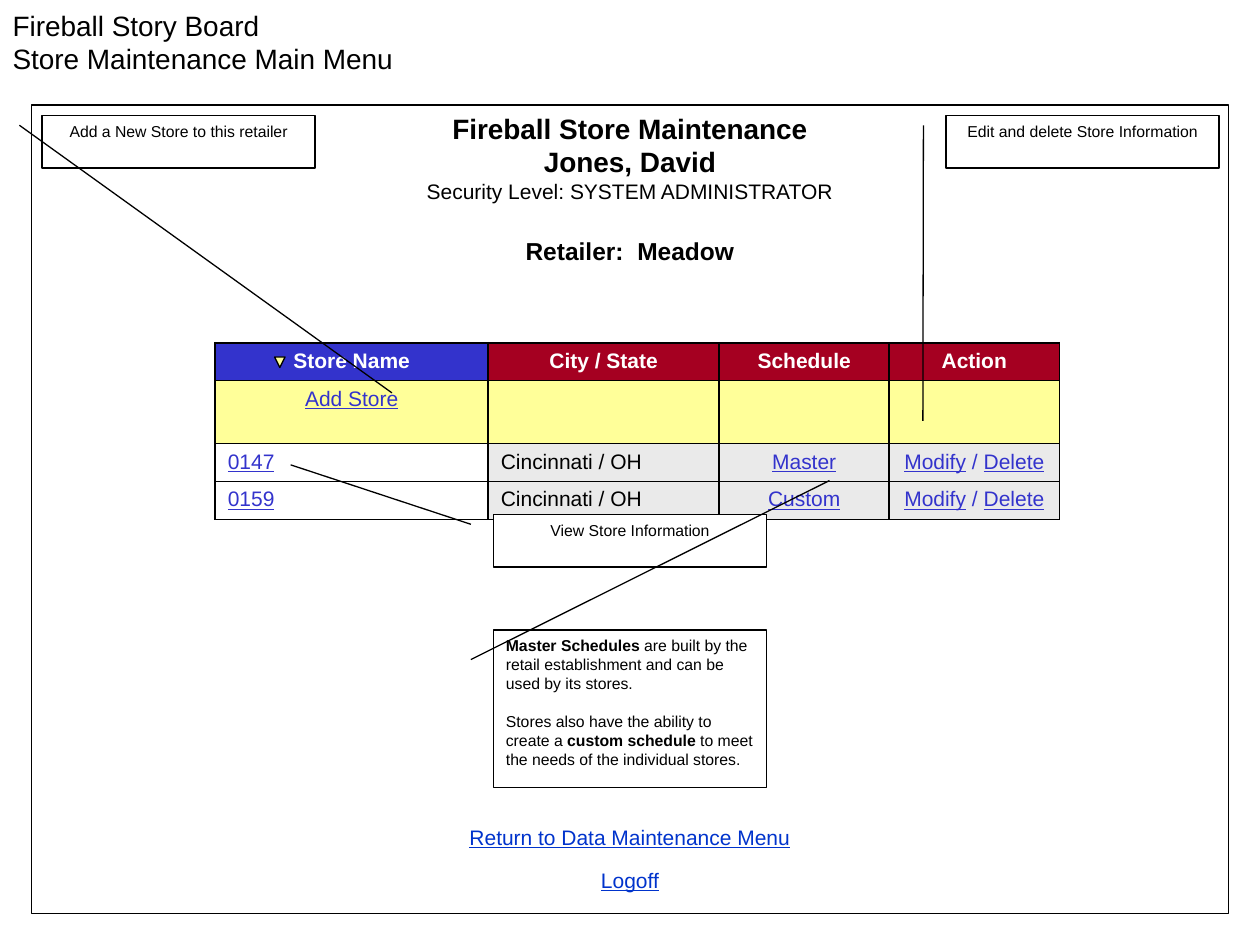
from lxml import etree
from pptx import Presentation
from pptx import util as u
from pptx.dml.color import RGBColor
from pptx.enum import shapes, text
from pptx.oxml.ns import qn

BLACK = RGBColor(0, 0, 0)
WHITE = RGBColor(255, 255, 255)
BLUE = RGBColor(0x33, 0x33, 0xCC)
LINK = RGBColor(0x00, 0x33, 0xCC)
RED = RGBColor(0xA5, 0x00, 0x21)
YELLOW = RGBColor(0xFF, 0xFF, 0x99)
GRAY = RGBColor(0xEA, 0xEA, 0xEA)
LEFT, CENTER = text.PP_ALIGN.LEFT, text.PP_ALIGN.CENTER
TOP, MIDDLE = text.MSO_ANCHOR.TOP, text.MSO_ANCHOR.MIDDLE


def write(frame, *paragraphs, size=12, color=BLACK, bold=False, underline=False,
          align=CENTER, gap=0):
    for index, spans in enumerate(paragraphs):
        para = frame.add_paragraph() if index else frame.paragraphs[0]
        para.alignment = align
        if index and gap:
            para.space_before = u.Pt(gap)
        para.font.size = u.Pt(size)
        for words, changes in spans:
            style = dict(size=size, color=color, bold=bold, underline=underline) | changes
            span = para.add_run()
            span.text = words
            span.font.name = "Arial"
            span.font.size = u.Pt(style["size"])
            span.font.bold = style["bold"]
            span.font.underline = style["underline"]
            span.font.color.rgb = style["color"]


def plain(words, **changes):
    return [(words, changes)]


class StoryBoard:
    columns, rows = 120, 90
    thin, thick, outline = 0.45, 1.08, 0.75

    def __init__(self, deck):
        self.deck = deck
        self.page = deck.slides.add_slide(deck.slide_layouts[5])

    def place(self, left, top, width, height):
        across = self.deck.slide_width / self.columns
        down = self.deck.slide_height / self.rows
        return [round(n) for n in (left * across, top * down, width * across, height * down)]

    def title(self, lines, area):
        box = self.page.shapes.title
        box.left, box.top, box.width, box.height = self.place(*area)
        frame = box.text_frame
        frame.auto_size = text.MSO_AUTO_SIZE.NONE
        frame.vertical_anchor = MIDDLE
        para = frame.paragraphs[0]
        para.alignment = LEFT
        for index, line in enumerate(lines):
            if index:
                para.add_line_break()
            span = para.add_run()
            span.text = line
        para.font.name, para.font.size = "Arial", u.Pt(16)
        para.font.color.rgb = BLACK

    def label(self, area, *paragraphs, anchor=TOP, **style):
        frame = self.page.shapes.add_textbox(*self.place(*area)).text_frame
        frame.word_wrap = True
        frame.vertical_anchor = anchor
        write(frame, *paragraphs, **style)

    def shape(self, kind, area, fill=WHITE):
        box = self.page.shapes.add_shape(kind, *self.place(*area))
        box.shadow.inherit = False
        box.fill.solid()
        box.fill.fore_color.rgb = fill
        box.line.color.rgb = BLACK
        box.line.width = u.Pt(self.outline)
        return box

    def callout(self, area, target, *paragraphs, **style):
        box = self.shape(shapes.MSO_SHAPE.LINE_CALLOUT_1, area)
        for index, value in enumerate((0.188, -0.083, *target)):
            box.adjustments[index] = value
        box.text_frame.word_wrap = True
        box.text_frame.vertical_anchor = TOP
        write(box.text_frame, *paragraphs, size=9, **style)

    def border(self, cell, widths):
        props = cell._tc.get_or_add_tcPr()
        for index, (side, width) in enumerate(widths.items()):
            line = etree.Element(qn("a:" + side), w=str(u.Pt(width)))
            fill = etree.SubElement(line, qn("a:solidFill"))
            etree.SubElement(fill, qn("a:srgbClr"), val=str(BLACK))
            props.insert(index, line)

    def table(self, left, top, widths, heights, cells):
        area = self.place(left, top, sum(widths), sum(heights))
        grid = self.page.shapes.add_table(len(heights), len(widths), *area).table
        grid.first_row = grid.horz_banding = False
        for column, width in zip(grid.columns, widths):
            column.width = self.place(0, 0, width, 0)[2]
        for row, height in zip(grid.rows, heights):
            row.height = self.place(0, 0, 0, height)[3]
        last = len(heights) - 1
        for r, line in enumerate(cells):
            for c, (spans, fill, style) in enumerate(line):
                cell = grid.cell(r, c)
                cell.fill.solid()
                cell.fill.fore_color.rgb = fill
                write(cell.text_frame, spans, **style)
                self.border(cell, {"lnL": self.thick, "lnR": self.thick,
                                   "lnT": self.thin if r else self.thick,
                                   "lnB": self.thick if r == last else self.thin})


def store_cells():
    link = dict(color=BLUE, underline=True)
    head = dict(color=WHITE, bold=True)
    names = ["Store Name", "City / State", "Schedule", "Action"]
    cells = [[(plain(name), RED if index else BLUE, head) for index, name in enumerate(names)],
             [(plain("Add Store"), YELLOW, link)] + [([], YELLOW, {})] * 3]
    actions = [("Modify", {}), (" / ", {"underline": False}), ("Delete", {})]
    for store, schedule in [("0147", "Master"), ("0159", "Custom")]:
        cells.append([(plain(store), WHITE, link | {"align": LEFT}),
                      (plain("Cincinnati / OH"), GRAY, {"align": LEFT}),
                      (plain(schedule), GRAY, link),
                      (actions, GRAY, link)])
    return cells


def main():
    deck = Presentation()
    deck.slide_width, deck.slide_height = u.Inches(10), u.Inches(7.5)
    board = StoryBoard(deck)
    board.title(["Fireball Story Board", "Store Maintenance Main Menu"], (0, 2, 120, 4))
    board.shape(shapes.MSO_SHAPE.RECTANGLE, (3, 10, 114, 77))
    board.label((3, 82, 114, 3.6), plain("Logoff"), color=LINK, underline=True)
    board.label((3, 13, 114, 4), plain("Fireball Store Maintenance"), plain("Jones, David"),
                plain("Security Level: SYSTEM ADMINISTRATOR", size=12, bold=False),
                anchor=MIDDLE, size=16, bold=True)
    board.table(20.5, 32.65, [26, 22, 16.2, 16.2], [3.6, 6, 3.6, 3.6], store_cells())
    marker = board.shape(shapes.MSO_SHAPE.ISOSCELES_TRIANGLE, (26.15, 34, 1, 1), YELLOW)
    marker.rotation = 180
    board.callout((4, 11, 26, 5), (5.287, 1.282), plain("Add a New Store to this retailer"))
    board.label((3, 21.9, 114, 4.1), plain("Retailer:  Meadow"), size=14, bold=True)
    board.callout((47, 49, 26, 5), (-0.946, -0.743), plain("View Store Information"))
    board.callout((90.1, 11, 26, 5), (5.821, -0.085), plain("Edit and delete Store Information"))
    board.label((3, 77.9, 114, 3.6), plain("Return to Data Maintenance Menu"),
                color=LINK, underline=True)
    board.callout((47, 60, 26, 15), (-0.949, 1.231),
                  [("Master Schedules", {"bold": True}),
                   (" are built by the retail establishment and can be used by its stores.", {})],
                  [("Stores also have the ability to create a ", {}),
                   ("custom schedule", {"bold": True}),
                   (" to meet the needs of the individual stores.", {})],
                  align=LEFT, gap=10.5)
    deck.save("out.pptx")


if __name__ == "__main__":
    main()
